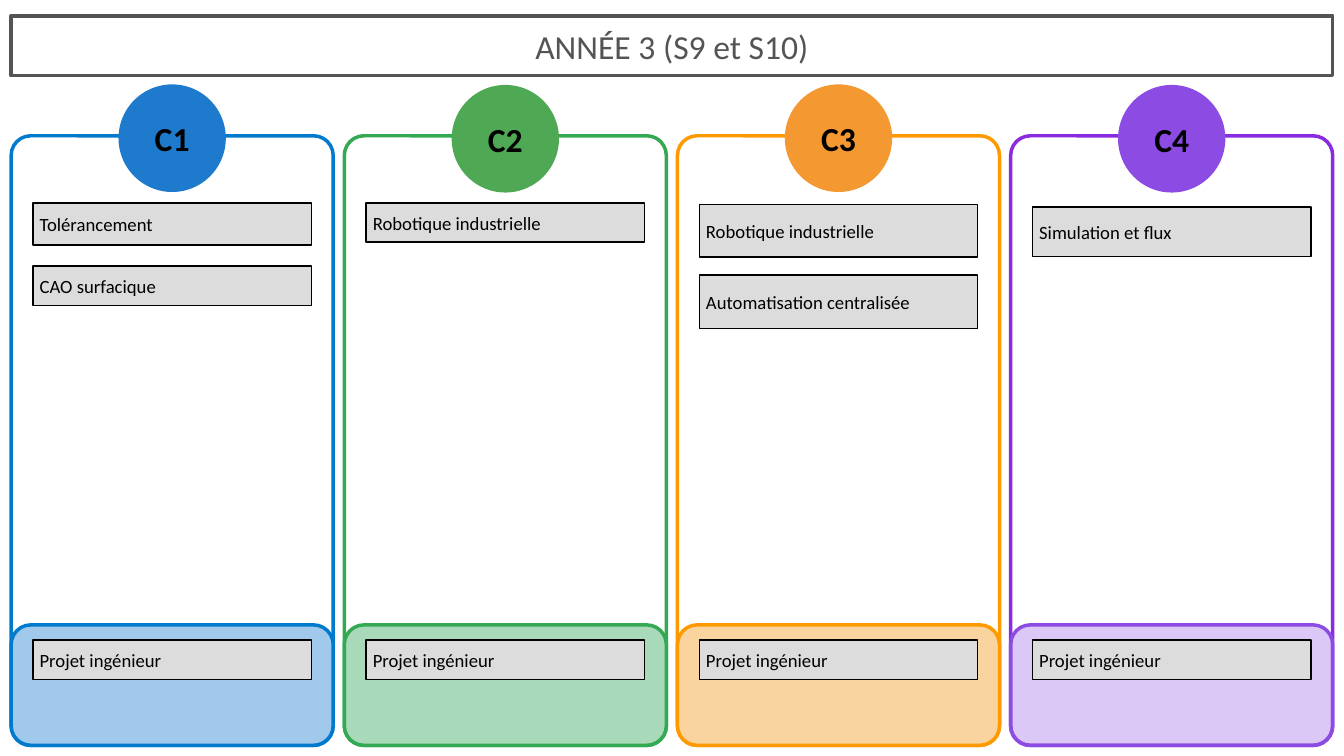
from pptx import Presentation
from pptx.dml.color import RGBColor
from pptx.enum.shapes import MSO_SHAPE
from pptx.enum.text import MSO_ANCHOR, PP_ALIGN
from pptx.oxml.ns import qn
from pptx.util import Inches, Pt
from lxml import etree

RECT, ROUND, OVAL = MSO_SHAPE.RECTANGLE, MSO_SHAPE.ROUNDED_RECTANGLE, MSO_SHAPE.OVAL
LEFT, MID = PP_ALIGN.LEFT, PP_ALIGN.CENTER
CENTER = MSO_ANCHOR.MIDDLE

THEME = {
    "font": "Calibri", "big": 36, "small": 20,
    "ink": "000000", "title": "545454", "card": "DDDCDC",
    "edge": 3.75, "ring": 2.25, "thin": 1.5,
    "disc": ["1E7ACC", "4FA954", "F49831", "8C4BE2"],
    "panel": ["007ACC", "34A853", "FF9900", "8A2BE2"],
    "foot": ["A0C9EB", "A8DAB9", "FAD49E", "8C4BE2"],
    "rim": ["007ACC", "34A853", "FF9900", "8C4BE2"],
    "alpha": [100, 100, 100, 30],
}

deck = Presentation()
deck.slide_width, deck.slide_height = Inches(20), Inches(11.25)
slide = deck.slides.add_slide(deck.slide_layouts[6])
COL, ROW = deck.slide_width / 100, deck.slide_height / 100

EDGE, STEP, WIDE = 0.83, 24.79, 23.96
RADIUS = 1.46 * COL
DISC_W, CARD_W, CARD_H = 7.83, 20.71, 5.2


def draw(kind, x, y, w, h, line, width, fill=None):
    box = slide.shapes.add_shape(
        kind, round(x * COL), round(y * ROW), round(w * COL), round(h * ROW))
    box.shadow.inherit = False
    box.line.color.rgb = RGBColor.from_string(line)
    box.line.width = Pt(width)
    if fill:
        box.fill.solid()
        box.fill.fore_color.rgb = RGBColor.from_string(fill)
    else:
        box.fill.background()
    if kind == ROUND:
        box.adjustments[0] = RADIUS / min(box.width, box.height)
    return box


def label(box, text, size, color, align, bold=False):
    frame = box.text_frame
    frame.word_wrap = True
    frame.vertical_anchor = CENTER
    line = frame.paragraphs[0]
    line.text = text
    line.alignment = align
    line.font.name = THEME["font"]
    line.font.size = Pt(size)
    line.font.bold = bold
    line.font.color.rgb = RGBColor.from_string(color)


title = draw(RECT, EDGE, 2.09, 98.33, 7.89, THEME["title"], THEME["edge"])
label(title, "ANNÉE 3 (S9 et S10)", THEME["big"], THEME["title"], MID)

groups = [
    ("C1", 11.3, [("Tolérancement", 26.84, 5.6), ("CAO surfacique", 35.2, CARD_H)]),
    ("C2", 11.37, [("Robotique industrielle", 26.84, CARD_H)]),
    ("C3", 11.3, [("Robotique industrielle", 27.06, 6.93),
                  ("Automatisation centralisée", 36.4, 7.06)]),
    ("C4", 11.37, [("Simulation et flux", 27.38, 6.58)]),
]

for i, (name, top, cards) in enumerate(groups):
    x = EDGE + i * STEP
    draw(ROUND, x, 17.96, WIDE, 80.64, THEME["panel"][i], THEME["edge"])

    hue = THEME["disc"][i]
    disc = draw(OVAL, x + (WIDE - DISC_W) / 2, top, DISC_W, 13.96, hue, THEME["ring"], hue)
    frame = disc.text_frame
    frame.margin_left = frame.margin_right = frame.margin_top = frame.margin_bottom = 0
    label(disc, name, THEME["big"], THEME["ink"], MID, True)

    foot = draw(ROUND, x, 82.66, WIDE, 15.93, THEME["rim"][i], THEME["edge"], THEME["foot"][i])
    if THEME["alpha"][i] < 100:
        tint = foot.fill._xPr.find(qn("a:solidFill"))[0]
        etree.SubElement(tint, qn("a:alpha"), val=str(THEME["alpha"][i] * 1000))

    for text, y, h in cards + [("Projet ingénieur", 84.68, CARD_H)]:
        card = draw(RECT, x + (WIDE - CARD_W) / 2, y, CARD_W, h,
                    THEME["ink"], THEME["thin"], THEME["card"])
        label(card, text, THEME["small"], THEME["ink"], LEFT)

deck.save("out.pptx")
